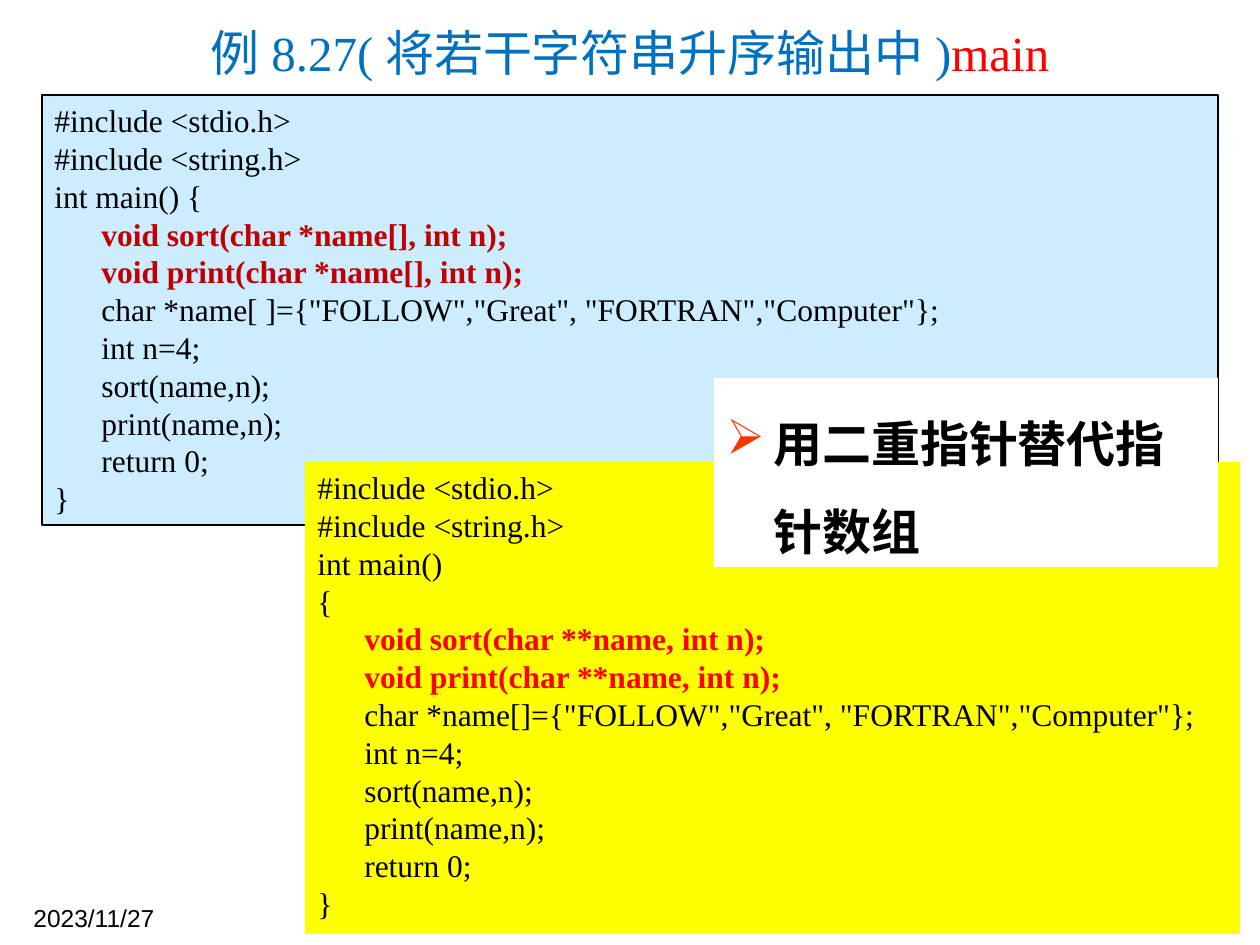
"""Build the slide that swaps a pointer array for a double pointer in main."""
from dataclasses import dataclass
from typing import Optional

from lxml import etree
from pptx import Presentation
from pptx import util as u
from pptx.dml.color import RGBColor
from pptx.enum import shapes, text
from pptx.oxml.ns import qn

BLACK = RGBColor(0x00, 0x00, 0x00)
WHITE = RGBColor(0xFF, 0xFF, 0xFF)
RED = RGBColor(0xFF, 0x00, 0x00)
WINE = RGBColor(0xC0, 0x00, 0x00)
BLUE = RGBColor(0x00, 0x70, 0xC0)
NAVY = RGBColor(0x33, 0x33, 0x99)
SKY = RGBColor(0xCC, 0xEC, 0xFF)
YELLOW = RGBColor(0xFF, 0xFF, 0x00)
SERIF, SANS = "Times New Roman", "Arial"
DENT = 47
CALLS = ["int n=4;", "sort(name,n);", "print(name,n);", "return 0;"]


@dataclass
class Box:
    """A rectangle with its place in px, fill, outline and text anchor."""
    left: int
    top: int
    width: int
    height: int
    fill: Optional[RGBColor] = None
    line: Optional[RGBColor] = None
    mid: bool = False


@dataclass
class Code:
    """A listing with its box, opening, declarations, body and accent."""
    box: Box
    head: list[str]
    decls: list[str]
    body: list[str]
    tint: RGBColor


CODES = [
    Code(Box(42, 95, 1176, 430, SKY, BLACK),
         ["#include <stdio.h>", "#include <string.h>", "int main() {"],
         ["void sort(char *name[], int n);", "void print(char *name[], int n);"],
         ['char *name[ ]={"FOLLOW","Great", "FORTRAN","Computer"};', *CALLS],
         WINE),
    Code(Box(305, 462, 935, 472, YELLOW),
         ["#include <stdio.h>", "#include <string.h>", "int main()", "{"],
         ["void sort(char **name, int n);", "void print(char **name, int n);"],
         ['char *name[]={"FOLLOW","Great", "FORTRAN","Computer"};', *CALLS],
         RED),
]


def px(num: int) -> int:
    """Turn px into EMU."""
    return u.Emu(round(num * 914400 / 126))


def draw(slide, box: Box):
    """Draw a plain rectangle and return it."""
    shape = slide.shapes.add_shape(
        shapes.MSO_SHAPE.RECTANGLE,
        px(box.left), px(box.top), px(box.width), px(box.height))
    shape.shadow.inherit = False
    if box.fill is None:
        shape.fill.background()
    else:
        shape.fill.solid()
        shape.fill.fore_color.rgb = box.fill
    if box.line is None:
        shape.line.fill.background()
    else:
        shape.line.color.rgb = box.line
        shape.line.width = u.Pt(0.75)
    frame = shape.text_frame
    frame.word_wrap = True
    anchor = text.MSO_ANCHOR
    frame.vertical_anchor = anchor.MIDDLE if box.mid else anchor.TOP
    return shape


def style(para, size: int, tint: RGBColor, bold: bool = False,
          face: str = SERIF) -> None:
    """Align a paragraph left and format all its runs."""
    para.alignment = text.PP_ALIGN.LEFT
    for run in para.runs:
        font = run.font
        font.size, font.name, font.bold = u.Pt(size), face, bold
        font.color.rgb = tint


def indent(para, left: int, first: int = 0) -> None:
    """Set the left margin and first-line indent of a paragraph."""
    props = para._p.get_or_add_pPr()
    props.set("marL", str(px(left)))
    props.set("indent", str(px(first)))


def bullet(para, char: str, tint: RGBColor) -> None:
    """Give a paragraph a tinted bullet."""
    props = para._p.get_or_add_pPr()
    color = etree.SubElement(props, qn("a:buClr"))
    etree.SubElement(color, qn("a:srgbClr")).set("val", str(tint))
    etree.SubElement(props, qn("a:buChar")).set("char", char)


def bar(slide) -> None:
    """Draw the fading bar under the title."""
    fill = draw(slide, Box(52, 140, 1198, 8)).fill
    fill.gradient()
    fill.gradient_angle = 0
    for stop, tint, pos in zip(fill.gradient_stops, (NAVY, WHITE), (0, 1)):
        stop.color.rgb = tint
        stop.position = pos


def date(slide) -> None:
    """Write the date in the bottom corner."""
    para = draw(slide, Box(21, 903, 294, 23)).text_frame.paragraphs[0]
    para.text = "2023/11/27"
    style(para, 14, BLACK, face=SANS)
    para.line_spacing = 0.8
    para.space_before = u.Pt(2.8)


def listing(slide, code: Code) -> None:
    """Draw a code listing with its declarations picked out."""
    frame = draw(slide, code.box).text_frame
    inner = code.decls + code.body
    frame.text = "\n".join([*code.head, *inner, "}"])
    for para in frame.paragraphs:
        key = para.text in code.decls
        style(para, 18, code.tint if key else BLACK, key)
        indent(para, DENT if para.text in inner else 0)


def title(slide) -> None:
    """Write the two-tone title."""
    box = Box(42, 10, 1176, 84, WHITE, mid=True)
    para = draw(slide, box).text_frame.paragraphs[0]
    para.text = "例8.27(将若干字符串升序输出中)"
    tail = para.add_run()
    tail.text = "main"
    style(para, 28, BLUE)
    tail.font.color.rgb = RED
    para.alignment = text.PP_ALIGN.CENTER


def note(slide) -> None:
    """Draw the bulleted remark."""
    box = Box(714, 378, 504, 189, WHITE)
    para = draw(slide, box).text_frame.paragraphs[0]
    para.text = "用二重指针替代指针数组"
    style(para, 28, BLACK, True)
    para.line_spacing = 1.5
    para.space_before = u.Pt(5.6)
    indent(para, DENT, -DENT)
    bullet(para, "➢", RGBColor(0xFF, 0x33, 0x00))


def main() -> None:
    """Build and save the slide."""
    deck = Presentation()
    deck.slide_width, deck.slide_height = px(1260), px(945)
    slide = deck.slides.add_slide(deck.slide_layouts[6])
    first, second = CODES
    bar(slide)
    date(slide)
    listing(slide, first)
    title(slide)
    listing(slide, second)
    note(slide)
    deck.save("out.pptx")


if __name__ == "__main__":
    main()
